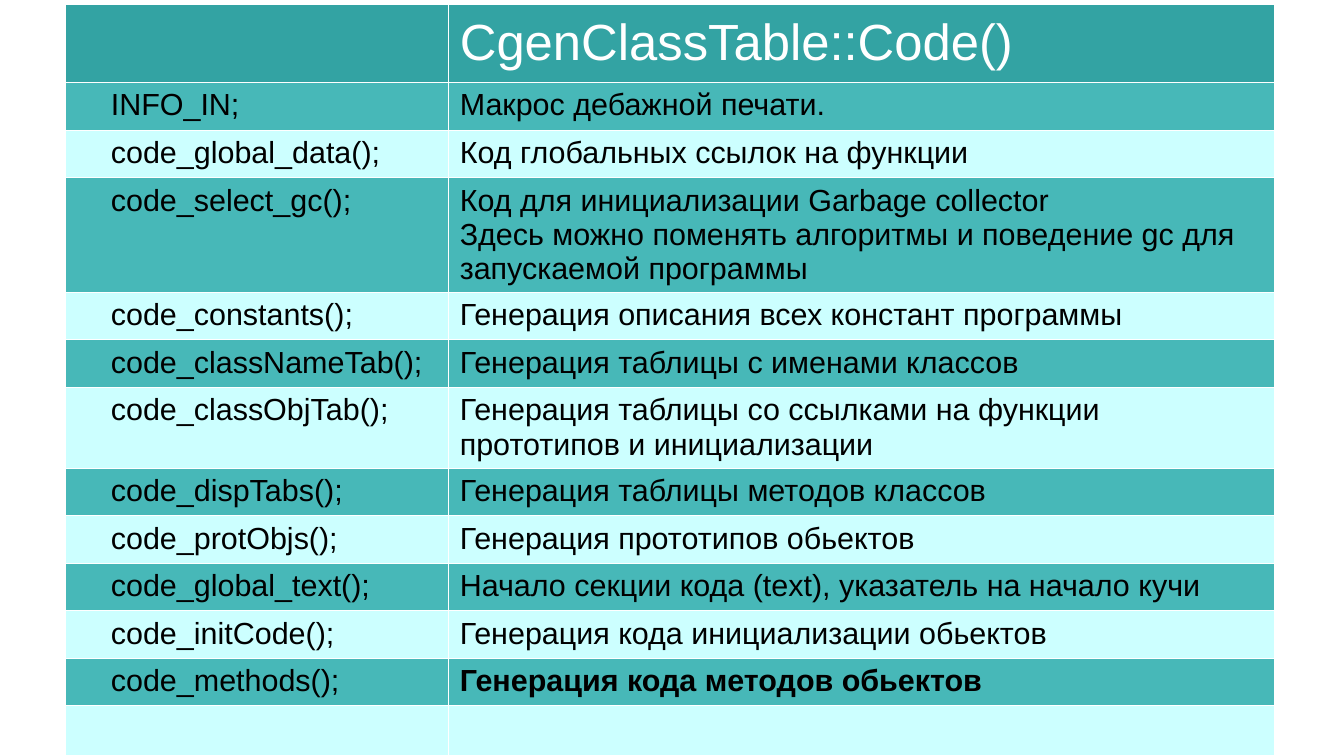
from lxml import etree
from pptx import Presentation
from pptx import util as u
from pptx.dml import color
from pptx.enum import text
from pptx.oxml import ns

ROWS = [
    ("", ["CgenClassTable::Code()"]),
    ("INFO_IN;", ["Макрос дебажной печати."]),
    ("code_global_data();", ["Код глобальных ссылок на функции"]),
    ("code_select_gc();", [
        "Код для инициализации Garbage collector",
        "Здесь можно поменять алгоритмы и поведение gc для запускаемой программы",
    ]),
    ("code_constants();", ["Генерация описания всех констант программы"]),
    ("code_classNameTab();", ["Генерация таблицы с именами классов"]),
    ("code_classObjTab();", [
        "Генерация таблицы со ссылками на функции прототипов и инициализации",
    ]),
    ("code_dispTabs();", ["Генерация таблицы методов классов"]),
    ("code_protObjs();", ["Генерация прототипов обьектов"]),
    ("code_global_text();", ["Начало секции кода (text), указатель на начало кучи"]),
    ("code_initCode();", ["Генерация кода инициализации обьектов"]),
    ("code_methods();", ["Генерация кода методов обьектов"]),
    ("", []),
]
BOLD = "code_methods();"
HEAD, BANDS = "33A3A3", ("CCFFFF", "47B8B8")
WHITE, BLACK = "FFFFFF", "000000"
WIDTHS = (7.98, 17.22)
LEFT, TOP, HEAD_H, ROW_H = 1.35, 0.08, 1.63, 0.99
PAD, INDENT = 0.25, 0.96


def paint(fill, tint):
    fill.solid()
    fill.fore_color.rgb = color.RGBColor.from_string(tint)


def edge(cell):
    props = cell._tc.get_or_add_tcPr()
    for side in ("lnL", "lnR", "lnT", "lnB"):
        line = etree.SubElement(props, ns.qn("a:" + side), w=str(u.Pt(0.06)))
        solid = etree.SubElement(line, ns.qn("a:solidFill"))
        etree.SubElement(solid, ns.qn("a:srgbClr"), val=WHITE)


def write(cell, lines, size, tint, bold):
    frame = cell.text_frame
    for i, line in enumerate(lines):
        para = frame.add_paragraph() if i else frame.paragraphs[0]
        run = para.add_run()
        run.text = line
        run.font.name = "Arial"
        run.font.size = u.Pt(size)
        run.font.bold = bold
        paint(run.font.fill, tint)


def main():
    deck = Presentation()
    deck.slide_width, deck.slide_height = u.Cm(28), u.Cm(15.75)
    slide = deck.slides.add_slide(deck.slide_layouts[6])
    high = HEAD_H + ROW_H * (len(ROWS) - 1)
    frame = slide.shapes.add_table(
        len(ROWS), len(WIDTHS), u.Cm(LEFT), u.Cm(TOP), u.Cm(sum(WIDTHS)), u.Cm(high))
    table = frame.table
    table.first_row = table.horz_banding = False
    for col, width in zip(table.columns, WIDTHS):
        col.width = u.Cm(width)
    for r, (call, notes) in enumerate(ROWS):
        top = r == 0
        table.rows[r].height = u.Cm(HEAD_H if top else ROW_H)
        for c, lines in enumerate(([call] if call else [], notes)):
            cell = table.cell(r, c)
            edge(cell)
            paint(cell.fill, HEAD if top else BANDS[r % 2])
            cell.margin_left = u.Cm(PAD if c else INDENT)
            cell.margin_right = u.Cm(PAD)
            cell.margin_top = cell.margin_bottom = u.Cm(0.13)
            cell.vertical_anchor = text.MSO_ANCHOR.MIDDLE if top else text.MSO_ANCHOR.TOP
            write(cell, lines, 30 if top else 18, WHITE if top else BLACK,
                  c == 1 and call == BOLD)
    deck.save("out.pptx")


if __name__ == "__main__":
    main()
